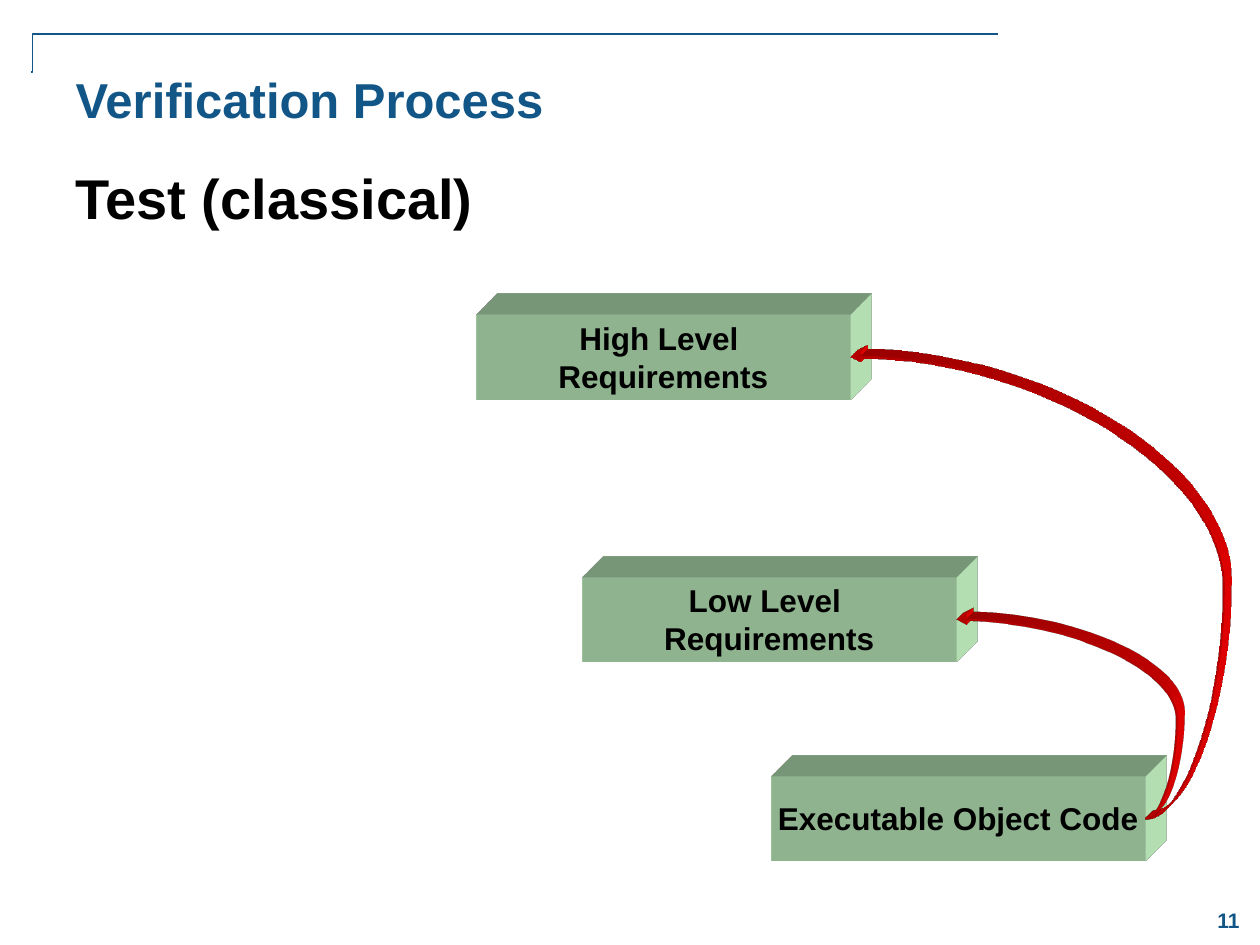
"""Build the Verification Process slide: three raised blocks traced by curved arrows."""
from lxml import etree
from pptx import Presentation
from pptx import util as u
from pptx.dml.color import RGBColor
from pptx.enum import shapes, text
from pptx.oxml.ns import qn

COLORS = {"blue": "125687", "green": "CCFFCC", "red": "FF0000", "black": "000000"}
BLOCK_SIZE = (2.97, 0.67)
BLOCKS = {
    "high": (3.78, 2.5, ["High Level ", "Requirements"]),
    "low": (4.62, 4.58, ["Low Level ", "Requirements"]),
    "code": (6.12, 6.16, ["Executable Object Code"]),
}
ARROWS = [("code", "high", -0.265), ("code", "low", -0.167)]


def rgb(name):
    """Return the named colour."""
    return RGBColor.from_string(COLORS[name])


def add_element(parent, tag, **values):
    """Append an XML element with the given attributes."""
    return etree.SubElement(parent, qn(tag), values)


def write(shape, lines, size, color, align, **frame_format):
    """Fill a shape with bold lines of text and format its frame."""
    frame = shape.text_frame
    for name, value in frame_format.items():
        setattr(frame, name, value)
    frame.text = "\n".join(lines)
    font_format = {"name": "Arial", "size": u.Pt(size), "bold": True}
    for paragraph in frame.paragraphs:
        paragraph.alignment = align
        for name, value in font_format.items():
            setattr(paragraph.font, name, value)
        paragraph.font.color.rgb = rgb(color)


def extrude(shape, depth, color):
    """Give a shape an oblique depth towards the top right."""
    properties = shape._element.spPr
    scene = add_element(properties, "a:scene3d")
    add_element(scene, "a:camera", prst="legacyObliqueTopRight")
    add_element(scene, "a:lightRig", rig="legacyFlat3", dir="b")
    solid = add_element(properties, "a:sp3d", extrusionH=str(u.Inches(depth)),
                        prstMaterial="legacyMatte")
    side = add_element(solid, "a:extrusionClr")
    add_element(side, "a:srgbClr", val=COLORS[color])


def add_block(slide, left, top, lines):
    """Add a raised block with centred text."""
    box = [u.Inches(value) for value in (left, top, *BLOCK_SIZE)]
    block = slide.shapes.add_shape(shapes.MSO_SHAPE.RECTANGLE, *box)
    block.shadow.inherit = False
    block.fill.solid()
    block.fill.fore_color.rgb = rgb("green")
    block.line.fill.background()
    write(block, lines, 18, "black", text.PP_ALIGN.CENTER, word_wrap=False,
          vertical_anchor=text.MSO_ANCHOR.MIDDLE)
    extrude(block, 0.47, "green")
    return block


def add_connector(slide, kind, ends, color, width, bend):
    """Add a connector whose middle lies at a share of its width."""
    connector = slide.shapes.add_connector(kind, *[u.Inches(end) for end in ends])
    connector.line.color.rgb = rgb(color)
    connector.line.width = u.Pt(width)
    properties = connector._element.spPr
    guides = properties.prstGeom.get_or_add_avLst()
    add_element(guides, "a:gd", name="adj1", fmla=f"val {round(bend * 100000)}")
    add_element(properties, "a:effectLst")
    return connector


def add_arrow(slide, source, target, bend):
    """Add a raised curved arrow between the right sides of two blocks."""
    arrow = add_connector(slide, shapes.MSO_CONNECTOR.CURVE, (0, 0, 1, 1), "red", 1.25, bend)
    arrow.begin_connect(source, 3)
    arrow.end_connect(target, 3)
    add_element(arrow.line._get_or_add_ln(), "a:tailEnd", type="triangle")
    extrude(arrow, 0.16, "red")


def add_label(slide, box, label, size, color, align, **frame_format):
    """Add a one-line text box."""
    shape = slide.shapes.add_textbox(*[u.Inches(value) for value in box])
    write(shape, [label], size, color, align, **frame_format)


def add_title(slide, label):
    """Place and format the title."""
    title = slide.shapes.title
    place = {"left": 0.5, "top": 0.5, "width": 8.83, "height": 1.08}
    for name, value in place.items():
        setattr(title, name, u.Inches(value))
    write(title, [label], 28, "blue", text.PP_ALIGN.LEFT,
          vertical_anchor=text.MSO_ANCHOR.TOP)


def main():
    """Build and save the slide."""
    presentation = Presentation()
    presentation.slide_width, presentation.slide_height = u.Inches(10), u.Inches(7.5)
    slide = presentation.slides.add_slide(presentation.slide_layouts[5])
    add_connector(slide, shapes.MSO_CONNECTOR.ELBOW, (7.92, 0.27, 0.25, 0.57),
                  "blue", 1, 0.999)
    add_label(slide, (9.5, 7.09, 0.5, 0.42), "11", 12, "blue", text.PP_ALIGN.CENTER,
              word_wrap=True, vertical_anchor=text.MSO_ANCHOR.MIDDLE)
    add_title(slide, "Verification Process")
    blocks = {name: add_block(slide, *block) for name, block in BLOCKS.items()}
    for source, target, bend in ARROWS:
        add_arrow(slide, blocks[source], blocks[target], bend)
    add_label(slide, (0.5, 1.25, 3.38, 0.64), "Test (classical)", 32, "black",
              text.PP_ALIGN.LEFT, word_wrap=False,
              auto_size=text.MSO_AUTO_SIZE.SHAPE_TO_FIT_TEXT)
    presentation.save("out.pptx")


if __name__ == "__main__":
    main()
